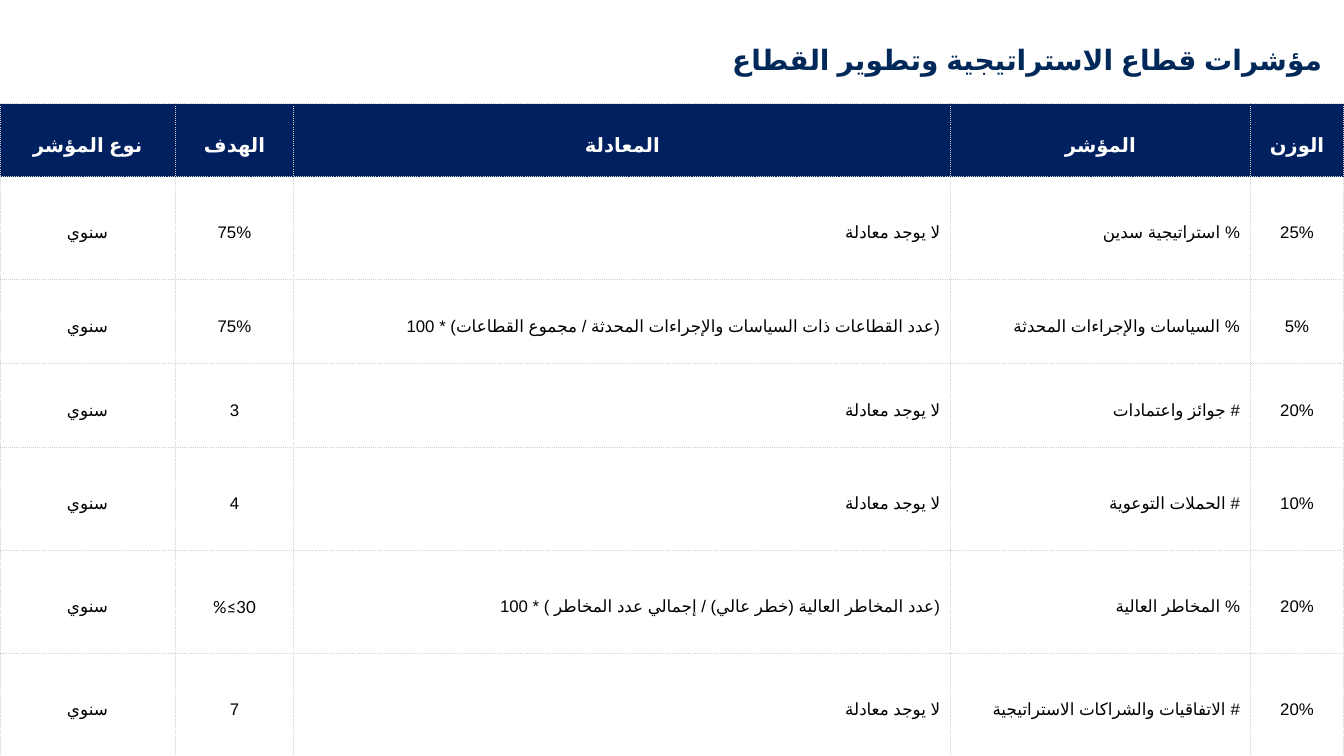
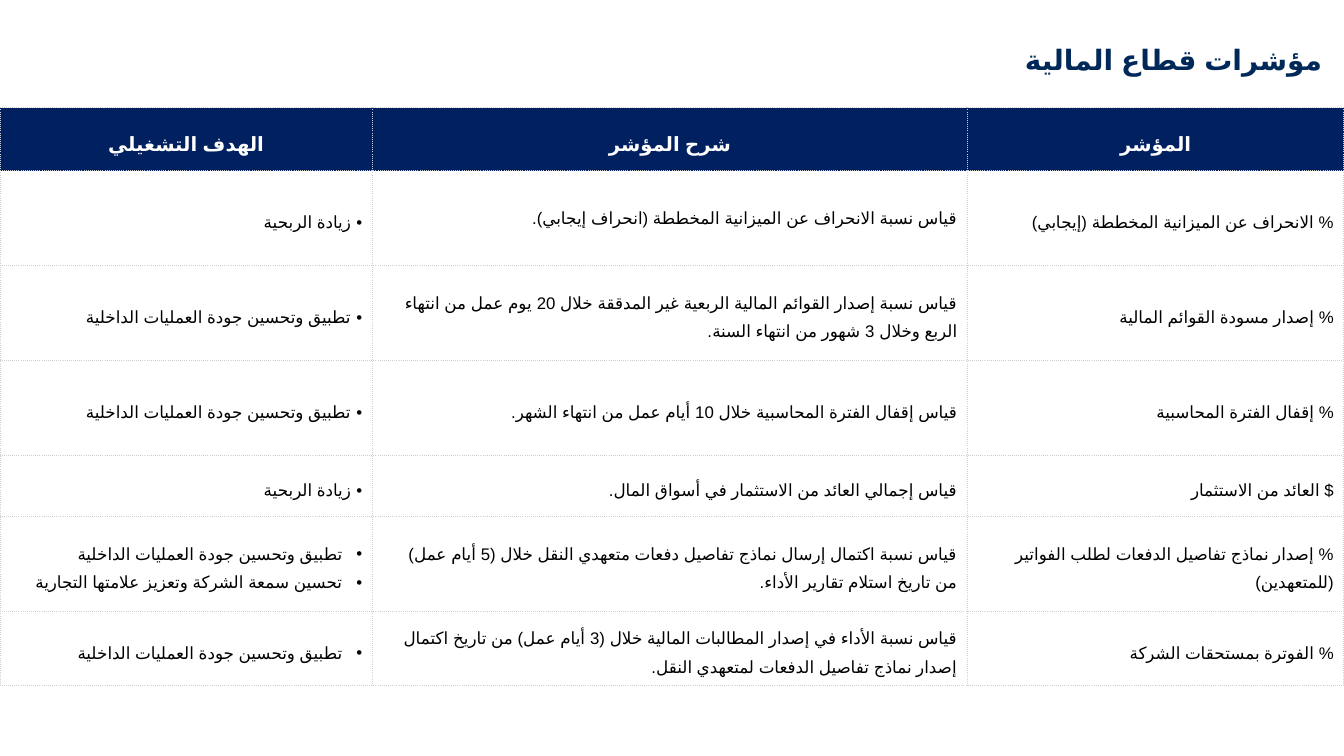
from lxml.etree import SubElement
from pptx import Presentation
from pptx.dml.color import RGBColor
from pptx.enum.lang import MSO_LANGUAGE_ID
from pptx.enum.text import MSO_ANCHOR, MSO_AUTO_SIZE, PP_ALIGN
from pptx.oxml import parse_xml
from pptx.oxml.ns import nsdecls, qn
from pptx.util import Pt

COLORS = {
    "title": "002959",
    "header": "002060",
    "header_text": "FFFFFF",
    "body": "FFFFFF",
    "body_text": "000000",
    "border": "D0CECE",
}
FONT = "Lato"
ARABIC_FONT = "Arial"
PAGE_WIDTH, PAGE_HEIGHT = 960, 540
TITLE_BOX = (471.5, 16.5, 480, 40)
LINE_SPACING = 1.5
CENTER, RIGHT = PP_ALIGN.CENTER, PP_ALIGN.RIGHT
LEFT_TO_RIGHT = {"%≤30"}
NO_FORMULA = "لا يوجد معادلة"
ANNUAL = "سنوي"
QUALITY = "تطبيق وتحسين جودة العمليات الداخلية"
PROFIT = "زيادة الربحية"

PAGES = [
    {
        "title": "مؤشرات قطاع الاستراتيجية وتطوير القطاع",
        "top": 74.25,
        "columns": [
            ("نوع المؤشر", 125, CENTER),
            ("الهدف", 85, CENTER),
            ("المعادلة", 469, RIGHT),
            ("المؤشر", 214, RIGHT),
            ("الوزن", 67, CENTER),
        ],
        "header_height": 52,
        "rows": [
            (73.5, [ANNUAL, "75%", NO_FORMULA, "% استراتيجية سدين", "25%"]),
            (60, [ANNUAL, "75%",
                  "(عدد القطاعات ذات السياسات والإجراءات المحدثة / مجموع القطاعات) * 100",
                  "% السياسات والإجراءات المحدثة", "5%"]),
            (60, [ANNUAL, "3", NO_FORMULA, "# جوائز واعتمادات", "20%"]),
            (73.5, [ANNUAL, "4", NO_FORMULA, "# الحملات التوعوية", "10%"]),
            (73.5, [ANNUAL, "%≤30",
                    "(عدد المخاطر العالية (خطر عالي) / إجمالي عدد المخاطر ) * 100",
                    "% المخاطر العالية", "20%"]),
            (73.5, [ANNUAL, "7", NO_FORMULA, "# الاتفاقيات والشراكات الاستراتيجية", "20%"]),
        ],
    },
    {
        "title": "مؤشرات قطاع المالية",
        "top": 77,
        "columns": [
            ("الهدف التشغيلي", 266, RIGHT),
            ("شرح المؤشر", 425, RIGHT),
            ("المؤشر", 269, RIGHT),
        ],
        "header_height": 45,
        "bullet_indents": [8, 8, 8, 8, 14, 14],
        "tight_cell": (1, 1),
        "rows": [
            (67.75, [[PROFIT],
                     "قياس نسبة الانحراف عن الميزانية المخططة (انحراف إيجابي).",
                     "% الانحراف عن الميزانية المخططة (إيجابي)"]),
            (67.75, [[QUALITY],
                     "قياس نسبة إصدار القوائم المالية الربعية غير المدققة خلال 20 يوم عمل "
                     "من انتهاء الربع وخلال 3 شهور من انتهاء السنة.",
                     "% إصدار مسودة القوائم المالية"]),
            (67.75, [[QUALITY],
                     "قياس إقفال الفترة المحاسبية خلال 10 أيام عمل من انتهاء الشهر.",
                     "% إقفال الفترة المحاسبية"]),
            (43.5, [[PROFIT],
                    "قياس إجمالي العائد من الاستثمار في أسواق المال.",
                    "$ العائد من الاستثمار"]),
            (67.75, [[QUALITY, "تحسين سمعة الشركة وتعزيز علامتها التجارية"],
                     "قياس نسبة اكتمال إرسال نماذج تفاصيل دفعات متعهدي النقل خلال "
                     "(5 أيام عمل) من تاريخ استلام تقارير الأداء.",
                     "% إصدار نماذج تفاصيل الدفعات لطلب الفواتير (للمتعهدين)"]),
            (53.5, [[QUALITY],
                    "قياس نسبة الأداء في إصدار المطالبات المالية خلال (3 أيام عمل) "
                    "من تاريخ اكتمال إصدار نماذج تفاصيل الدفعات لمتعهدي النقل.",
                    "% الفوترة بمستحقات الشركة"]),
        ],
    },
]


def color(name):
    return RGBColor.from_string(COLORS[name])


def write_paragraph(paragraph, text, size, ink, align, bold=False, rtl=True, indent=0):
    paragraph.text = text
    paragraph.alignment = align
    paragraph.line_spacing = LINE_SPACING
    properties = paragraph._p.get_or_add_pPr()
    if rtl:
        properties.set("rtl", "1")
    if indent:
        properties.set("marR", "0")
        properties.set("marL", str(Pt(indent)))
        properties.set("indent", str(-Pt(indent)))
        SubElement(properties, qn("a:buFont"), typeface="Arial")
        SubElement(properties, qn("a:buChar"), char="•")
    font = paragraph.font
    font.name, font.size, font.bold = FONT, Pt(size), bold
    font.color.rgb = color(ink)
    font.language_id = MSO_LANGUAGE_ID.ARABIC
    SubElement(properties.find(qn("a:defRPr")), qn("a:cs"), typeface=ARABIC_FONT)
    for span in paragraph.runs:
        span.font.language_id = MSO_LANGUAGE_ID.ARABIC


def add_title(page, text):
    box = page.shapes.add_textbox(*map(Pt, TITLE_BOX))
    frame = box.text_frame
    frame.word_wrap = True
    frame.auto_size = MSO_AUTO_SIZE.SHAPE_TO_FIT_TEXT
    frame.vertical_anchor = MSO_ANCHOR.MIDDLE
    write_paragraph(frame.paragraphs[0], text, 20, "title", RIGHT, bold=True)


def style_cell(cell, fill):
    properties = cell._tc.get_or_add_tcPr()
    for side in "LRTB":
        properties.append(parse_xml(
            f'<a:ln{side} {nsdecls("a")} w="{Pt(0.75)}"><a:solidFill>'
            f'<a:srgbClr val="{COLORS["border"]}"/></a:solidFill>'
            f'<a:prstDash val="sysDot"/></a:ln{side}>'))
    cell.fill.solid()
    cell.fill.fore_color.rgb = color(fill)
    cell.vertical_anchor = MSO_ANCHOR.MIDDLE


def write_body_cell(cell, content, align, indent):
    style_cell(cell, "body")
    is_list = isinstance(content, list)
    frame = cell.text_frame
    for index, text in enumerate(content if is_list else [content]):
        paragraph = frame.add_paragraph() if index else frame.paragraphs[0]
        write_paragraph(paragraph, text, 12, "body_text", align,
                        rtl=text not in LEFT_TO_RIGHT, indent=indent if is_list else 0)


def add_indicator_table(page, content):
    columns, rows = content["columns"], content["rows"]
    heights = [content["header_height"]] + [height for height, _ in rows]
    table = page.shapes.add_table(
        len(heights), len(columns), Pt(0), Pt(content["top"]),
        Pt(PAGE_WIDTH), Pt(sum(heights))).table
    table.horz_banding = False
    for row, height in zip(table.rows, heights):
        row.height = Pt(height)
    indents = content.get("bullet_indents", [0] * len(rows))
    for column_index, (heading, width, align) in enumerate(columns):
        table.columns[column_index].width = Pt(width)
        header = table.cell(0, column_index)
        style_cell(header, "header")
        write_paragraph(header.text_frame.paragraphs[0], heading, 14, "header_text",
                        CENTER, bold=True, rtl=False)
        for row_index, (_, values) in enumerate(rows):
            write_body_cell(table.cell(row_index + 1, column_index),
                            values[column_index], align, indents[row_index])
    if "tight_cell" in content:
        cell = table.cell(*content["tight_cell"])
        cell.margin_left = cell.margin_top = cell.margin_bottom = Pt(0)
        cell.text_frame.paragraphs[0].line_spacing = 1.0


def main():
    deck = Presentation()
    deck.slide_width, deck.slide_height = Pt(PAGE_WIDTH), Pt(PAGE_HEIGHT)
    for content in PAGES:
        page = deck.slides.add_slide(deck.slide_layouts[6])
        add_title(page, content["title"])
        add_indicator_table(page, content)
    deck.save("out.pptx")


if __name__ == "__main__":
    main()
